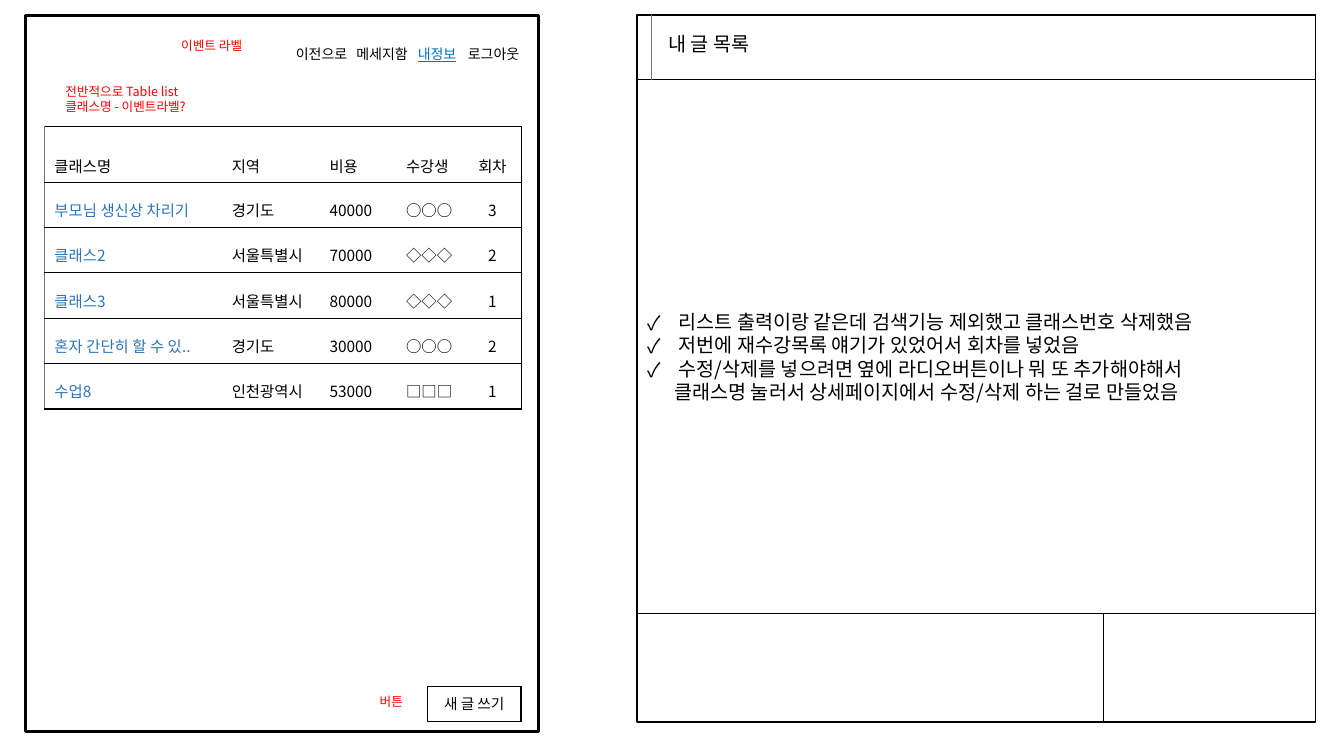
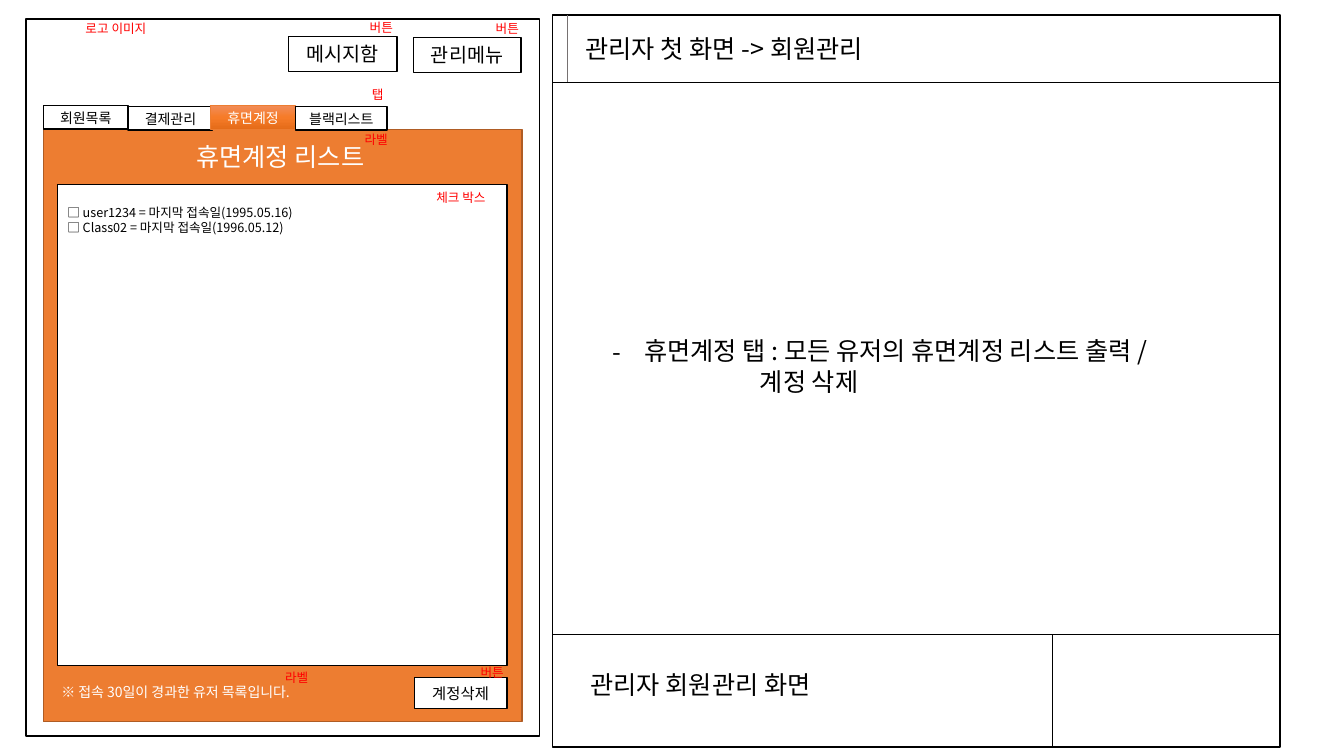
from copy import deepcopy
from dataclasses import dataclass
from typing import Optional, Sequence

from lxml import etree
from pptx import Presentation
from pptx.dml.color import RGBColor
from pptx.enum.shapes import MSO_CONNECTOR, MSO_SHAPE
from pptx.enum.text import MSO_ANCHOR as Anchor, MSO_AUTO_SIZE as AutoSize, PP_ALIGN as Align
from pptx.oxml.ns import qn
from pptx.util import Pt

FONT = "Noto Sans CJK KR"
BLACK = RGBColor(0x00, 0x00, 0x00)
WHITE = RGBColor(0xFF, 0xFF, 0xFF)
RED = RGBColor(0xFF, 0x00, 0x00)
GRAY = RGBColor(0x76, 0x71, 0x71)
CLASS_BLUE = RGBColor(0x2E, 0x75, 0xB6)
MENU_BLUE = RGBColor(0x00, 0x70, 0xC0)
ORANGE = RGBColor(0xED, 0x7D, 0x31)
DARK_ORANGE = RGBColor(0xAF, 0x5C, 0x24)
TAB_GRADIENT = (RGBColor(0xF1, 0x8C, 0x57), RGBColor(0xF6, 0x7B, 0x28), RGBColor(0xE5, 0x6C, 0x19))
LINE_HEIGHT = 1.2


@dataclass(frozen=True)
class Area:
    """A rectangle in points."""
    left: float
    top: float
    width: float
    height: float

    @property
    def right(self) -> float:
        return self.left + self.width

    @property
    def bottom(self) -> float:
        return self.top + self.height

    def emu(self) -> tuple:
        return Pt(self.left), Pt(self.top), Pt(self.width), Pt(self.height)


@dataclass(frozen=True)
class Item:
    """A list line with its margins and optional bullet."""
    text: str
    margin: float = 0
    hanging: float = 0
    bullet: str = ""


@dataclass(frozen=True)
class Sheet:
    """The description sheet on the right of each screen."""
    area: Area
    header_y: float
    gutter_x: float
    footer_y: float
    divider_x: float
    title: str
    title_area: Area
    items: Sequence[Item]
    size: float


@dataclass(frozen=True)
class Caption:
    """Text in a box; a red note unless told otherwise."""
    text: str
    area: Area
    size: float = 9
    color: RGBColor = RED


def write(frame, items: Sequence, *, size: float, color: RGBColor = BLACK, align=Align.LEFT,
          anchor=Anchor.TOP, underline: bool = False, spacing: Optional[float] = None,
          inset_top: float = 3.6, inset_bottom: float = 3.6) -> None:
    """Fill a text frame; spacing is a multiple, or a fixed line height when None."""
    frame.word_wrap = True
    frame.vertical_anchor = anchor
    frame.margin_top, frame.margin_bottom = Pt(inset_top), Pt(inset_bottom)
    for index, entry in enumerate(items):
        item = entry if isinstance(entry, Item) else Item(entry)
        paragraph = frame.paragraphs[0] if index == 0 else frame.add_paragraph()
        props = paragraph._p.get_or_add_pPr()
        props.set("marL", str(int(Pt(item.margin))))
        props.set("indent", str(int(Pt(-item.hanging))))
        if item.bullet:
            etree.SubElement(props, qn("a:buFont")).set("typeface", FONT)
            etree.SubElement(props, qn("a:buChar")).set("char", item.bullet)
        else:
            etree.SubElement(props, qn("a:buNone"))
        paragraph.alignment = align
        paragraph.line_spacing = spacing or Pt(size * LINE_HEIGHT)
        paragraph.space_before = paragraph.space_after = Pt(0)
        run = paragraph.add_run()
        run.text = item.text
        run.font.name, run.font.size = FONT, Pt(size)
        run.font.color.rgb = color
        if underline:
            run.font.underline = True
        east_asian = etree.SubElement(run._r.get_or_add_rPr(), qn("a:ea"))
        east_asian.set("typeface", FONT)


def add_rect(slide, area: Area, fill: Optional[RGBColor] = WHITE, line: RGBColor = BLACK,
             width: float = 1):
    rect = slide.shapes.add_shape(MSO_SHAPE.RECTANGLE, *area.emu())
    rect.shadow.inherit = False
    if fill is None:
        rect.fill.background()
    else:
        rect.fill.solid()
        rect.fill.fore_color.rgb = fill
    rect.line.color.rgb, rect.line.width = line, Pt(width)
    return rect


def add_button(slide, text: str, area: Area, size: float, color: RGBColor = BLACK, **outline):
    button = add_rect(slide, area, **outline)
    write(button.text_frame, [text], size=size, color=color, align=Align.CENTER, anchor=Anchor.MIDDLE)
    return button


def add_text(slide, items: Sequence, area: Area, **style) -> None:
    write(slide.shapes.add_textbox(*area.emu()).text_frame, items, **style)


def add_captions(slide, captions: Sequence[Caption]) -> None:
    for caption in captions:
        add_text(slide, caption.text.split("\n"), caption.area, size=caption.size, color=caption.color)


def add_rule(slide, x1: float, y1: float, x2: float, y2: float, color: RGBColor = BLACK) -> None:
    rule = slide.shapes.add_connector(MSO_CONNECTOR.STRAIGHT, Pt(x1), Pt(y1), Pt(x2), Pt(y2))
    rule.line.color.rgb, rule.line.width = color, Pt(0.5)
    etree.SubElement(rule._element.spPr, qn("a:effectLst"))


def place(placeholder, area: Area) -> None:
    placeholder.left, placeholder.top, placeholder.width, placeholder.height = area.emu()
    placeholder.text_frame.auto_size = AutoSize.NONE


def add_sheet(deck, sheet: Sheet):
    """Start a slide with its title, notes list and ruled sheet."""
    slide = deck.slides.add_slide(deck.slide_layouts[1])
    title, notes = slide.placeholders
    place(title, sheet.title_area)
    write(title.text_frame, [sheet.title], size=sheet.size)
    area = sheet.area
    place(notes, area)
    notes.line.color.rgb, notes.line.width = BLACK, Pt(1)
    write(notes.text_frame, sheet.items, size=sheet.size, anchor=Anchor.MIDDLE,
          inset_bottom=3.6 + sheet.size * LINE_HEIGHT)
    add_rule(slide, area.left, sheet.header_y, area.right, sheet.header_y)
    add_rule(slide, sheet.gutter_x, area.top, sheet.gutter_x, sheet.header_y, GRAY)
    add_rule(slide, area.left, sheet.footer_y, area.right, sheet.footer_y)
    add_rule(slide, sheet.divider_x, sheet.footer_y, sheet.divider_x, area.bottom)
    return slide


def set_borders(cell, **colors: Optional[RGBColor]) -> None:
    """Put the borders, given in the order L, R, T, B, ahead of the cell fill."""
    props = cell._tc.get_or_add_tcPr()
    for index, (side, color) in enumerate(colors.items()):
        border = etree.Element(qn(f"a:ln{side}"), w=str(int(Pt(1))))
        if color is None:
            etree.SubElement(border, qn("a:noFill"))
        else:
            fill = etree.SubElement(border, qn("a:solidFill"))
            etree.SubElement(fill, qn("a:srgbClr")).set("val", str(color))
        props.insert(index, border)


CLASS_COLUMNS = (126.7, 69.8, 54.7, 48.2, 41.5)
CLASSES = (
    ("클래스명", "지역", "비용", "수강생", "회차"),
    ("부모님 생신상 차리기", "경기도", "40000", "○○○", "3"),
    ("클래스2", "서울특별시", "70000", "◇◇◇", "2"),
    ("클래스3", "서울특별시", "80000", "◇◇◇", "1"),
    ("혼자 간단히 할 수 있..", "경기도", "30000", "○○○", "2"),
    ("수업8", "인천광역시", "53000", "□□□", "1"),
)


def add_class_table(slide) -> None:
    area = Area(31.7, 90.5, sum(CLASS_COLUMNS), 201.6)
    table = slide.shapes.add_table(len(CLASSES), len(CLASS_COLUMNS), *area.emu()).table
    table.first_row = table.horz_banding = False
    for column, width in zip(table.columns, CLASS_COLUMNS):
        column.width = Pt(width)
    last = len(CLASS_COLUMNS) - 1
    for r, values in enumerate(CLASSES):
        table.rows[r].height = Pt(32.4 if r else 39.6)
        for c, value in enumerate(values):
            cell = table.cell(r, c)
            cell.fill.background()
            set_borders(cell, L=None if c else GRAY, R=BLACK if c == last else None, T=BLACK, B=BLACK)
            paragraph_align = Align.CENTER if c == last else Align.LEFT
            write(cell.text_frame, [value], size=11, align=paragraph_align,
                  color=CLASS_BLUE if r and c == 0 else BLACK, spacing=1.5 if r else 2.0)


MY_POSTS = Sheet(
    Area(455, 10.8, 484.6, 504.9), header_y=56.9, gutter_x=465.1, footer_y=437.9, divider_x=788.4,
    title="내 글 목록", title_area=Area(470.2, 19.4, 361.4, 24.5), size=14,
    items=(
        Item("리스트 출력이랑 같은데 검색기능 제외했고 클래스번호 삭제했음", 22.5, 22.5, "✓"),
        Item("저번에 재수강목록 얘기가 있었어서 회차를 넣었음", 22.5, 22.5, "✓"),
        Item("수정/삭제를 넣으려면 옆에 라디오버튼이나 뭐 또 추가해야해서", 22.5, 22.5, "✓"),
        Item("클래스명 눌러서 상세페이지에서 수정/삭제 하는 걸로 만들었음", 19.5),
    ))
MEMBERS = Sheet(
    Area(394.6, 10.8, 519.8, 522.7), header_y=58.5, gutter_x=405.4, footer_y=452.9, divider_x=751.7,
    title="관리자 첫 화면 -> 회원관리", title_area=Area(411.1, 20.2, 355.7, 28.8), size=18,
    items=(
        Item("휴면계정 탭 : 모든 유저의 휴면계정 리스트 출력 /", 58.5, 22.5, "-"),
        Item("계정 삭제", 141),
    ))


def build_my_posts(deck) -> None:
    slide = add_sheet(deck, MY_POSTS)
    add_class_table(slide)
    add_rect(slide, Area(18, 10.8, 366.5, 512), fill=None, width=2.25)
    add_button(slide, "새 글 쓰기", Area(305.3, 490.3, 67, 25.2), 10.5)
    add_captions(slide, (
        Caption("이벤트 라벨", Area(122.4, 23.8, 77, 18)),
        Caption("전반적으로 Table list\n클래스명 - 이벤트라벨?", Area(39.6, 56.2, 117.4, 28.8)),
        Caption("버튼", Area(264.2, 491.8, 77, 18)),
    ))
    # Top menu; the current page is underlined
    for text, left, width in (("이전으로", 200.9, 57.6), ("메세지함", 244.1, 57.6),
                              ("내정보", 286.6, 51.1), ("로그아웃", 322.6, 59.8)):
        current = text == "내정보"
        add_text(slide, [text], Area(left, 24.5, width, 28.1), size=10, align=Align.CENTER,
                 anchor=Anchor.MIDDLE, color=MENU_BLUE if current else BLACK, underline=current)


def shade_tab(tab) -> None:
    """Give the selected tab its three-colour gradient."""
    tab.fill.gradient()
    tab.fill.gradient_angle = 270
    stops = tab._element.spPr.find(".//" + qn("a:gsLst"))
    middle = deepcopy(stops[0])
    middle.set("pos", "50000")
    stops.insert(1, middle)
    for stop, color in zip(tab.fill.gradient_stops, TAB_GRADIENT):
        stop.color.rgb = color
    tab.line.color.rgb, tab.line.width = ORANGE, Pt(0.5)


def build_members(deck) -> None:
    slide = add_sheet(deck, MEMBERS)
    add_captions(slide, [Caption("관리자 회원관리 화면", Area(414.7, 474.5, 314.6, 28.8), 18, BLACK)])

    # Phone screen with the dormant account panel
    add_rect(slide, Area(18.7, 13.7, 366.5, 512))
    add_rect(slide, Area(31, 92.4, 342, 423.2), fill=ORANGE, line=DARK_ORANGE)
    accounts = add_rect(slide, Area(41, 131.8, 321.2, 343.4))
    write(accounts.text_frame, ["□ user1234 = 마지막 접속일(1995.05.16)", "□ Class02 = 마지막 접속일(1996.05.12)"],
          size=9, inset_top=14.4)

    # Tabs
    for text, left, top, width in (("회원목록", 31, 75.6, 60.5), ("결제관리", 91.5, 76.3, 60.5),
                                   ("휴면계정", 150.5, 75.6, 60.5), ("블랙리스트", 211, 76.3, 65.5)):
        selected = text == "휴면계정"
        tab = add_button(slide, text, Area(left, top, width, 16.6), 10, WHITE if selected else BLACK)
        if selected:
            shade_tab(tab)

    # Buttons
    add_button(slide, "계정삭제", Area(295.9, 483.8, 66.2, 22.3), 11)
    add_button(slide, "메시지함", Area(205.9, 25.9, 77.8, 25.2), 14)
    add_button(slide, "관리메뉴", Area(295.2, 26.6, 77, 25.2), 14)

    # Panel texts and red notes
    add_captions(slide, (
        Caption("휴면계정 리스트", Area(133.2, 97.2, 151.9, 29.5), 18, WHITE),
        Caption("※ 접속 30일이 경과한 유저 목록입니다.", Area(36.7, 484.6, 195.8, 19.4), 10, WHITE),
        Caption("체크 박스", Area(304.6, 131.8, 67.7, 18)),
        Caption("라벨", Area(253.4, 90.7, 67.7, 18)),
        Caption("탭", Area(258.5, 58.3, 36.7, 18)),
        Caption("라벨", Area(196.6, 475.2, 67.7, 18)),
        Caption("버튼", Area(336.2, 471.6, 67.7, 18)),
        Caption("로고 이미지", Area(54, 11.5, 93.6, 18)),
        Caption("버튼", Area(257, 10.8, 77, 18)),
        Caption("버튼", Area(347, 11.5, 77, 18)),
    ))


def main() -> None:
    deck = Presentation()
    deck.slide_width, deck.slide_height = Pt(960), Pt(540)
    build_my_posts(deck)
    build_members(deck)
    deck.save("out.pptx")


if __name__ == "__main__":
    main()
